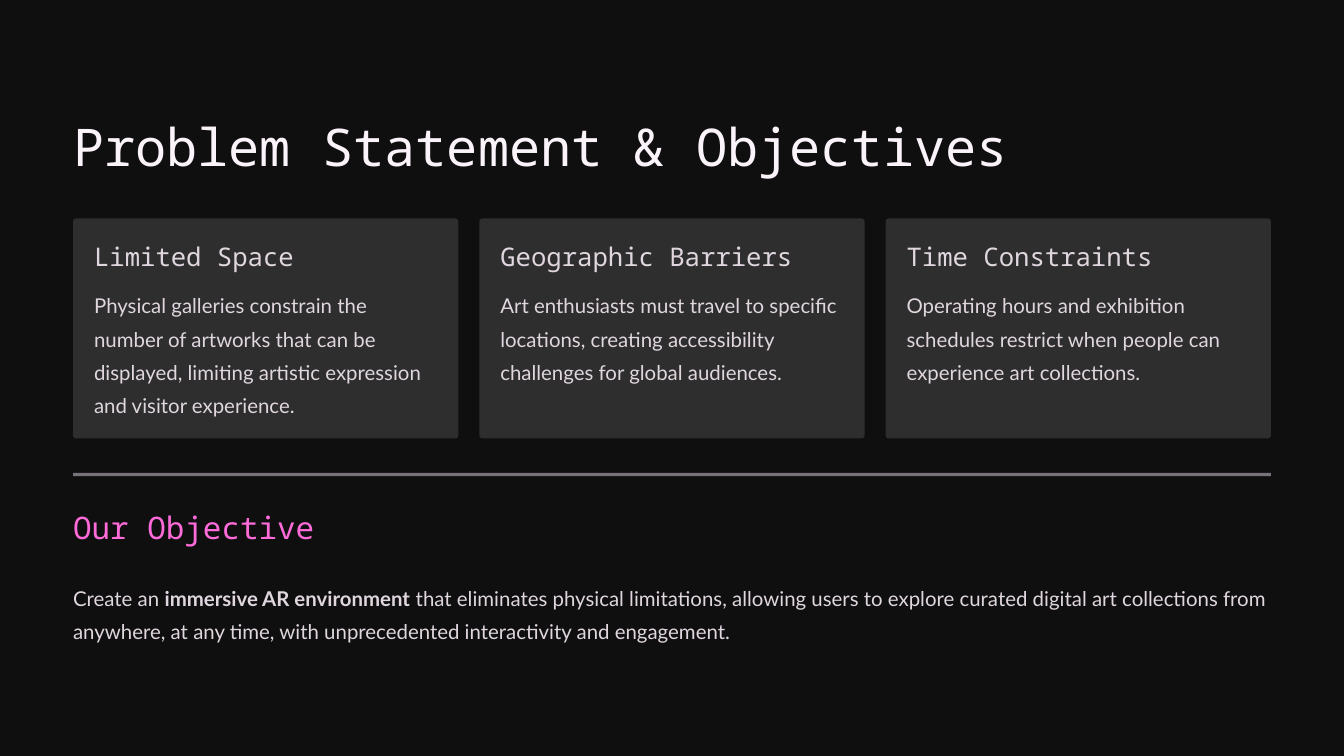
import pptx
import pptx.util
import pptx.dml.color
import pptx.enum.shapes
import pptx.oxml
import pptx.oxml.ns
from dataclasses import dataclass

TITLE = "Problem Statement & Objectives"
CARDS = [
    ("Limited Space",
     "Physical galleries constrain the number of artworks that can be displayed, "
     "limiting artistic expression and visitor experience."),
    ("Geographic Barriers",
     "Art enthusiasts must travel to specific locations, creating accessibility "
     "challenges for global audiences."),
    ("Time Constraints",
     "Operating hours and exhibition schedules restrict when people can "
     "experience art collections."),
]
GOAL = "Our Objective"
AIM = [
    ("Create an ", False),
    ("immersive AR environment", True),
    (" that eliminates physical limitations, allowing users to explore curated "
     "digital art collections from anywhere, at any time, with unprecedented "
     "interactivity and engagement.", False),
]


@dataclass(frozen=True)
class Style:
    font: str
    size: float
    lead: float
    color: str


@dataclass(frozen=True)
class Theme:
    back: str = "0F0F10"
    card: str = "2E2E2F"
    rule: str = "E0D6DE"
    title: Style = Style("Noto Sans Mono", 44.5, 55.5, "FBF3FA")
    head: Style = Style("Noto Sans Mono", 22, 27.5, "E0D6DE")
    goal: Style = Style("Noto Sans Mono", 26.5, 33, "FF6BD8")
    body: Style = Style("Lato", 17.5, 28.5, "E0D6DE")


THEME = Theme()
WIDE, HIGH = 16, 9
EDGE = 0.87
SPAN = WIDE - 2 * EDGE
GAP = 0.25
CARD_W = (SPAN - GAP * (len(CARDS) - 1)) / len(CARDS)
CARD_Y, CARD_H = 2.6, 2.62


def place(*box):
    return [pptx.util.Inches(n) for n in box]


def tint(code):
    return pptx.dml.color.RGBColor.from_string(code)


def panel(slide, kind, box, color):
    shape = slide.shapes.add_shape(kind, *place(*box))
    shape.shadow.inherit = False
    shape.fill.solid()
    shape.fill.fore_color.rgb = tint(color)
    shape.line.fill.background()
    return shape


def write(slide, box, runs, style, wrap=False):
    frame = slide.shapes.add_textbox(*place(*box)).text_frame
    frame.margin_left = frame.margin_right = 0
    frame.margin_top = frame.margin_bottom = 0
    frame.word_wrap = wrap
    para = frame.paragraphs[0]
    para.line_spacing = pptx.util.Pt(style.lead)
    for words, bold in runs:
        run = para.add_run()
        run.text = words
        run.font.name = style.font
        run.font.size = pptx.util.Pt(style.size)
        run.font.bold = bold
        run.font.color.rgb = tint(style.color)


def main():
    deck = pptx.Presentation()
    deck.slide_width, deck.slide_height = place(WIDE, HIGH)
    slide = deck.slides.add_slide(deck.slide_layouts[6])
    slide.background.fill.solid()
    slide.background.fill.fore_color.rgb = tint(THEME.back)
    kinds = pptx.enum.shapes.MSO_SHAPE

    write(slide, (EDGE, 1.33, 11.16, 0.78), [(TITLE, False)], THEME.title)

    for col, (head, body) in enumerate(CARDS):
        left = EDGE + col * (CARD_W + GAP)
        card = panel(slide, kinds.ROUNDED_RECTANGLE,
                     (left, CARD_Y, CARD_W, CARD_H), THEME.card)
        card.adjustments[0] = 0.014
        inner = CARD_W - 2 * GAP
        write(slide, (left + GAP, CARD_Y + GAP, inner, 0.39),
              [(head, False)], THEME.head)
        write(slide, (left + GAP, 3.39, inner, 1.59),
              [(body, False)], THEME.body, True)

    rule = panel(slide, kinds.RECTANGLE, (EDGE, 5.63, SPAN, 0.04), THEME.rule)
    color = rule.fill._xPr.find(".//" + pptx.oxml.ns.qn("a:srgbClr"))
    alpha = pptx.oxml.parse_xml(
        "<a:alpha %s val='50000'/>" % pptx.oxml.ns.nsdecls("a"))
    color.append(alpha)

    write(slide, (EDGE, 6.04, 3.72, 0.47), [(GOAL, False)], THEME.goal)
    write(slide, (EDGE, 6.87, SPAN, 0.79), AIM, THEME.body, True)
    deck.save("out.pptx")


if __name__ == "__main__":
    main()
